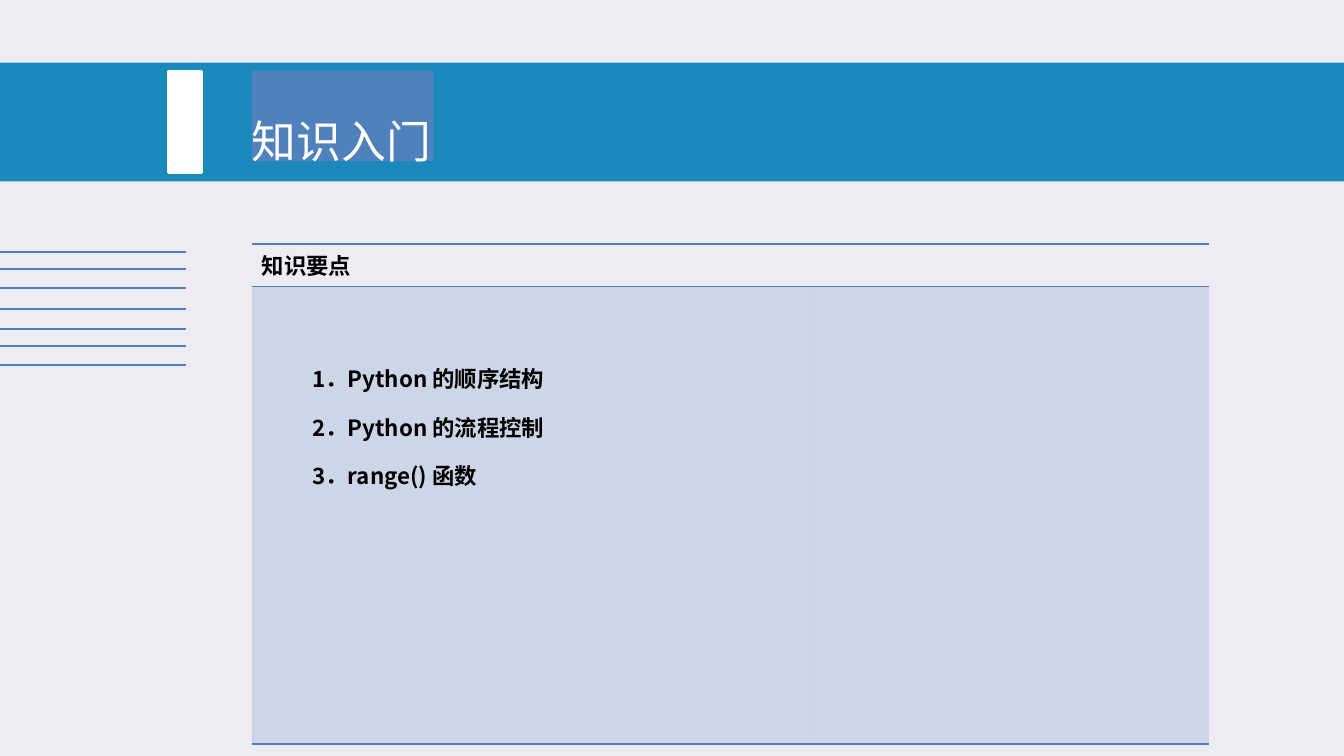
from dataclasses import dataclass

import pptx
import pptx.dml.color
import pptx.enum.shapes
import pptx.enum.text
import pptx.oxml
import pptx.oxml.ns
import pptx.util
from lxml import etree

Inches = pptx.util.Inches
Pt = pptx.util.Pt
RGB = pptx.dml.color.RGBColor.from_string
qn = pptx.oxml.ns.qn


@dataclass(frozen=True)
class Theme:
    font: str = "Noto Sans CJK SC"
    page: str = "ECECF2"
    band: str = "1A8ABC"
    accent: str = "4F81BD"
    stripe: str = "4B7EBC"
    light: str = "FFFFFF"
    dark: str = "000000"
    title_size: int = 32
    body_size: int = 16
    tint: int = 20


@dataclass(frozen=True)
class Box:
    """A rectangle in inches."""
    left: float
    top: float
    width: float
    height: float

    def emu(self):
        return [Inches(n) for n in (self.left, self.top, self.width, self.height)]


THEME = Theme()
PAGE = Box(0, 0, 13.34, 7.5)
CONTENT_LEFT = 2.5
STRIPE_OFFSETS = (0, 0.17, 0.36, 0.57, 0.76, 0.93, 1.12)
NO_STYLE_NO_GRID = "{2D5ABB26-0587-4C30-8999-92F81FD0307C}"
HEADING = "知识要点"
POINTS = ("1．Python 的顺序结构", "2．Python 的流程控制", "3．range() 函数")


def write_text(para, text, size=THEME.body_size, color=THEME.dark, bold=False,
               spacing=None, indent=0):
    para.alignment = pptx.enum.text.PP_ALIGN.LEFT
    para.line_spacing = spacing
    if indent:
        properties = para._p.get_or_add_pPr()
        properties.set("marL", "0")
        properties.set("indent", str(Inches(indent)))
    span = para.add_run()
    span.text = text
    span.font.size = Pt(size)
    span.font.bold = bold
    span.font.color.rgb = RGB(color)
    span.font.name = THEME.font
    east_asian = etree.SubElement(span.font._element, qn("a:ea"))
    east_asian.set("typeface", THEME.font)


def add_block(page, box, color):
    block = page.shapes.add_shape(pptx.enum.shapes.MSO_SHAPE.RECTANGLE, *box.emu())
    block.shadow.inherit = False
    block.fill.solid()
    block.fill.fore_color.rgb = RGB(color)
    block.line.fill.background()
    return block


def add_title_band(page, box):
    add_block(page, box, THEME.band)
    title = page.shapes.title
    page.shapes._spTree.append(title.element)  # in front of the band
    title_box = Box(CONTENT_LEFT, box.top + 0.08, 1.8, 0.9)
    title.left, title.top, title.width, title.height = title_box.emu()
    title.fill.solid()
    title.fill.fore_color.rgb = RGB(THEME.accent)
    frame = title.text_frame
    frame.word_wrap = False
    frame.auto_size = pptx.enum.text.MSO_AUTO_SIZE.NONE
    frame.vertical_anchor = pptx.enum.text.MSO_ANCHOR.TOP
    frame.margin_left = frame.margin_right = frame.margin_top = 0
    frame.margin_bottom = Inches(0.07)
    write_text(frame.paragraphs[0], "知识入门", size=THEME.title_size,
               color=THEME.light, spacing=Pt(69.3))
    marker = add_block(page, Box(box.left + 1.67, box.top + 0.09, 0.33, 1), THEME.light)
    marker.line.color.rgb = RGB(THEME.light)
    marker.line.width = Pt(2)


def add_stripes(page, box):
    for offset in STRIPE_OFFSETS:
        height = Inches(box.top + offset)
        stripe = page.shapes.add_connector(
            pptx.enum.shapes.MSO_CONNECTOR.STRAIGHT,
            Inches(box.left), height, Inches(box.left + box.width), height)
        stripe.line.color.rgb = RGB(THEME.stripe)
        stripe.line.width = Pt(1.5)
        etree.SubElement(stripe._element.spPr, qn("a:effectLst"))


def add_border(cell, *sides):
    """Draw accent rules on the given sides, named in schema order."""
    for position, side in enumerate(sides):
        rule = pptx.oxml.parse_xml(
            f'<a:{side} xmlns:a="http://schemas.openxmlformats.org/drawingml/2006/main"'
            f' w="{Pt(1)}"><a:solidFill><a:srgbClr val="{THEME.accent}"/>'
            f'</a:solidFill></a:{side}>')
        cell._tc.get_or_add_tcPr().insert(position, rule)


def tint_cell(cell):
    cell.fill.solid()
    cell.fill.fore_color.rgb = RGB(THEME.accent)
    color = next(cell._tc.tcPr.iter(qn("a:srgbClr")))
    etree.SubElement(color, qn("a:alpha")).set("val", str(THEME.tint * 1000))


def add_points_table(page, box):
    table = page.shapes.add_table(2, 2, *box.emu()).table
    table.first_row = table.horz_banding = False
    table._tbl.tblPr.find(qn("a:tableStyleId")).text = NO_STYLE_NO_GRID
    heading_height = 0.41
    first_width = 5.58
    for column, width in zip(table.columns, (first_width, box.width - first_width)):
        column.width = Inches(width)
    for row, height in zip(table.rows, (heading_height, box.height - heading_height)):
        row.height = Inches(height)
    for cell in table.rows[0].cells:
        cell.fill.background()
        add_border(cell, "lnT", "lnB")
    for cell in table.rows[1].cells:
        tint_cell(cell)
        add_border(cell, "lnT", "lnB")

    write_text(table.cell(0, 0).text_frame.paragraphs[0], HEADING, bold=True)
    blank = table.cell(0, 1)  # thin margins keep the heading row at its height
    blank.margin_top = blank.margin_bottom = 0
    body = table.cell(1, 0)
    body.vertical_anchor = pptx.enum.text.MSO_ANCHOR.MIDDLE
    body.margin_bottom = Inches(1.97)
    frame = body.text_frame
    for index, point in enumerate(POINTS):
        para = frame.add_paragraph() if index else frame.paragraphs[0]
        write_text(para, point, bold=True, spacing=1.5, indent=0.5)


def build_points_page(deck):
    page = deck.slides.add_slide(deck.slide_layouts[5])
    page.background.fill.solid()
    page.background.fill.fore_color.rgb = RGB(THEME.page)
    add_title_band(page, Box(0, 0.62, PAGE.width, 1.18))
    add_stripes(page, Box(0, 2.5, 1.85, STRIPE_OFFSETS[-1]))
    add_points_table(page, Box(CONTENT_LEFT, 2.42, 9.5, 4.95))


def main():
    deck = pptx.Presentation()
    deck.slide_width = Inches(PAGE.width)
    deck.slide_height = Inches(PAGE.height)
    build_points_page(deck)
    deck.save("out.pptx")


if __name__ == "__main__":
    main()
